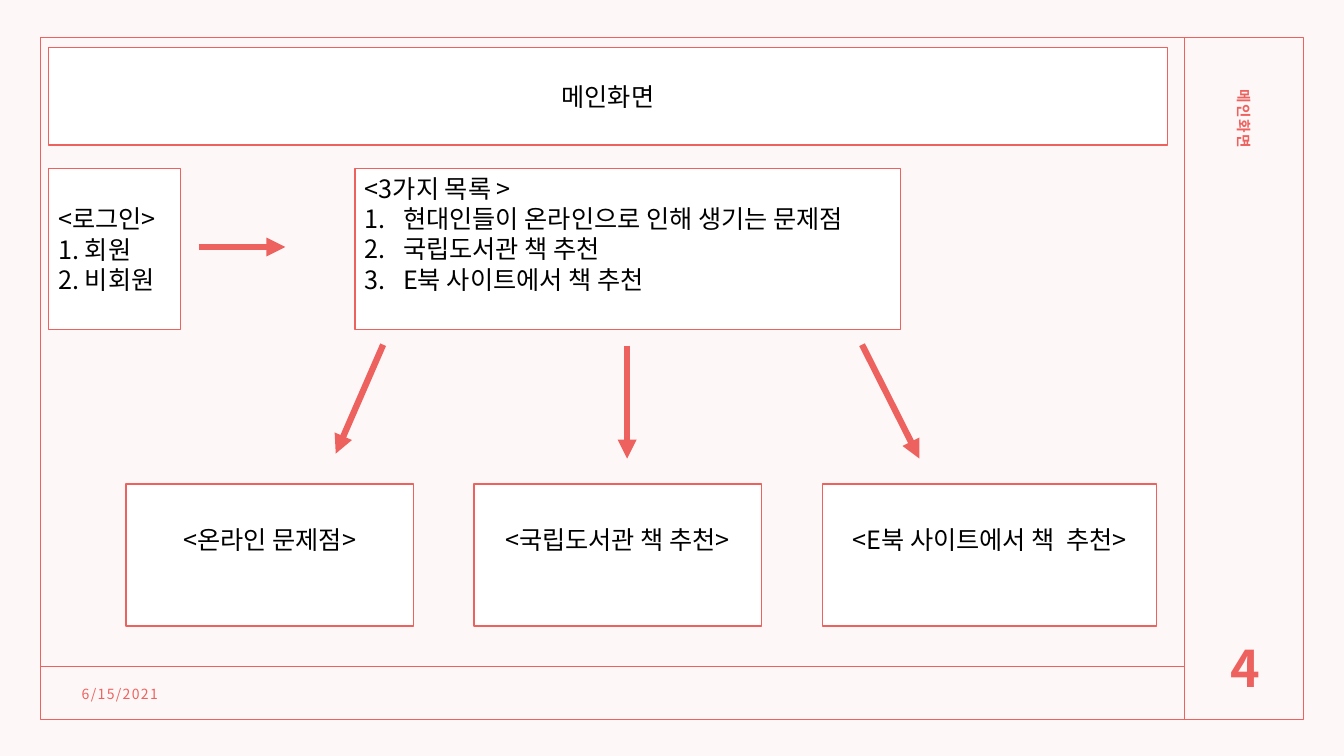
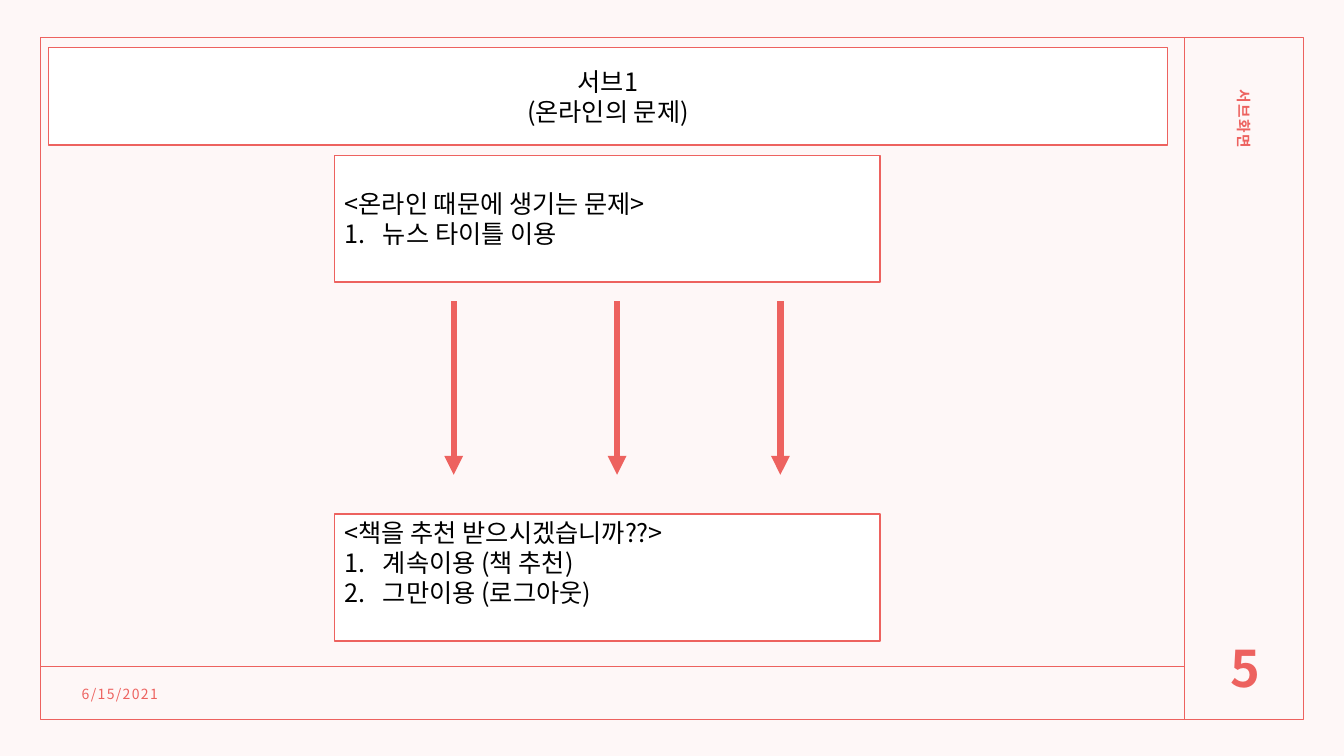
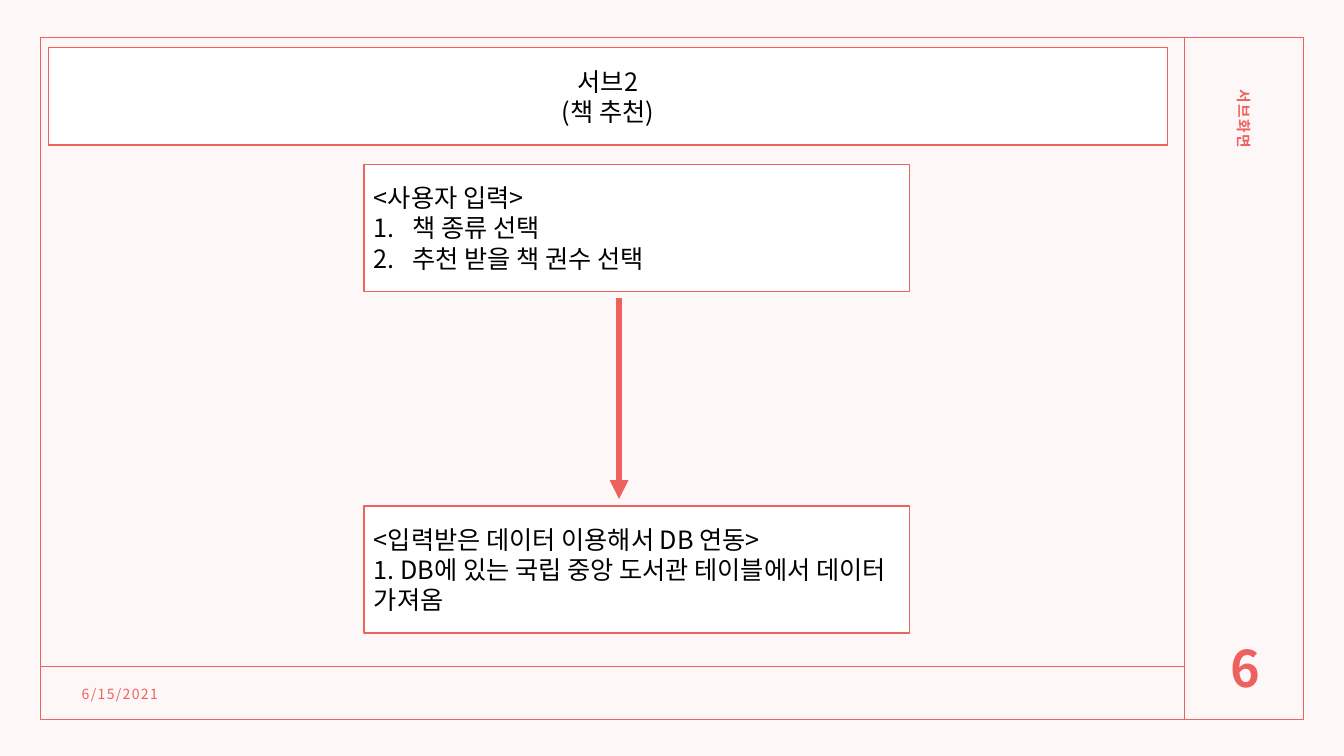
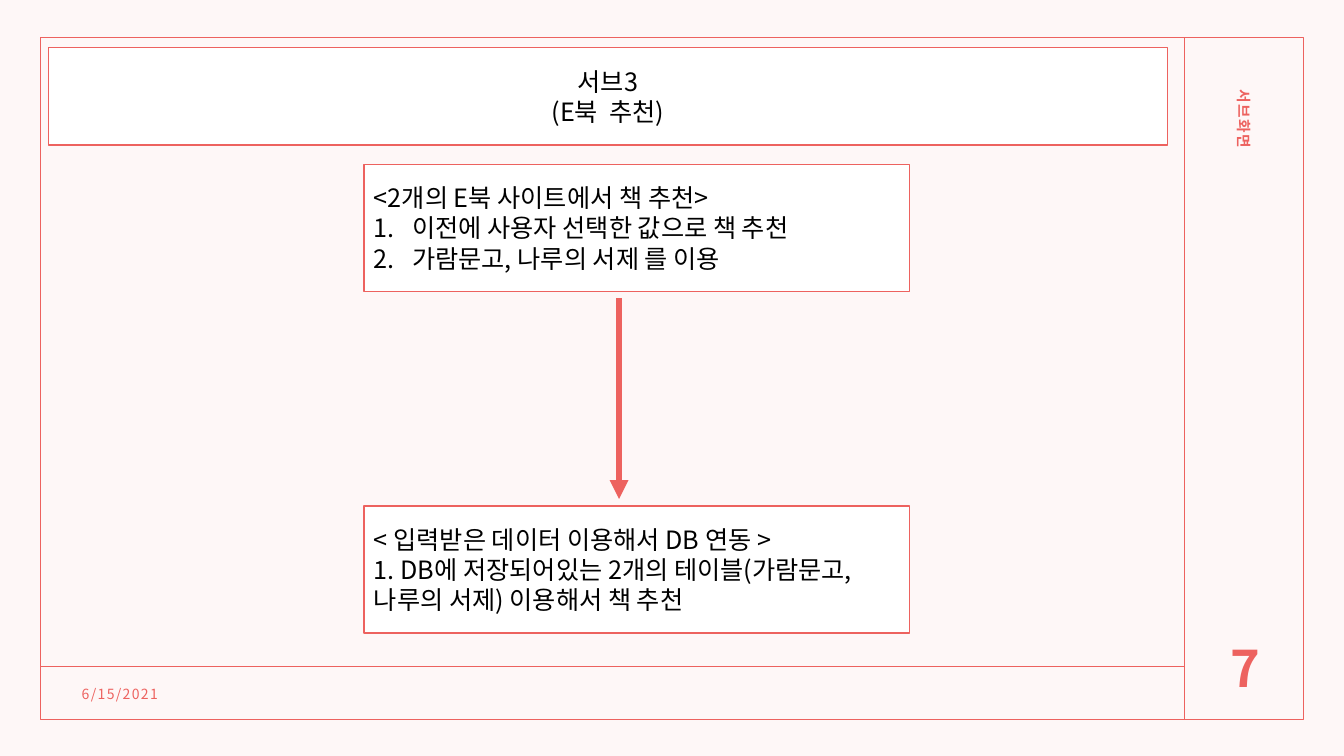
"""Build the four screen-flow slides of a book recommendation program."""
from lxml import etree
from pptx import Presentation
from pptx.dml.color import RGBColor
from pptx.enum.shapes import MSO_CONNECTOR, MSO_SHAPE
from pptx.enum.text import MSO_ANCHOR, PP_ALIGN
from pptx.oxml.ns import qn
from pptx.util import Inches, Pt

RECTANGLE = MSO_SHAPE.RECTANGLE
STRAIGHT = MSO_CONNECTOR.STRAIGHT
MIDDLE = MSO_ANCHOR.MIDDLE
LEFT, CENTER = PP_ALIGN.LEFT, PP_ALIGN.CENTER


def rgb(value):
    return RGBColor.from_string(value)


class Deck:
    FONT = "Noto Sans CJK KR"
    CORAL, BLUSH, WHITE, BLACK = "ED625F", "FEF7F7", "FFFFFF", "000000"
    INDENT = 0.38
    BLANK_LINE = 0.3

    def __init__(self):
        self.deck = Presentation()
        self.deck.slide_width = Inches(13.33)
        self.deck.slide_height = Inches(7.5)
        self.slide = None

    def start(self, number, section, title):
        self.slide = self.deck.slides.add_slide(self.deck.slide_layouts[6])
        background = self.slide.background.fill
        background.solid()
        background.fore_color.rgb = rgb(self.BLUSH)
        self.rectangle((0.4, 0.37, 12.53, 6.77))
        self.line((11.75, 0.37), (11.75, 7.13))
        self.line((0.41, 6.61), (11.75, 6.61))
        self.label((0.69, 6.72, 3.45, 0.31), "6/15/2021", 10, spacing=1)
        self.label((10.1, 2.82, 4.5, 0.4), section, 10.5, bold=True, spacing=1, rotation=90)
        self.label((11.83, 6.2, 1.04, 0.83), str(number), 36, bold=True, align=CENTER)
        self.box((0.48, 0.47, 11.1, 0.97), title, align=CENTER)

    def rectangle(self, at, fill=None):
        shape = self.slide.shapes.add_shape(RECTANGLE, *map(Inches, at))
        shape.shadow.inherit = False
        if fill:
            shape.fill.solid()
            shape.fill.fore_color.rgb = rgb(fill)
        else:
            shape.fill.background()
        shape.line.color.rgb = rgb(self.CORAL)
        shape.line.width = Pt(1)
        return shape

    def line(self, start, end, width=1):
        connector = self.slide.shapes.add_connector(STRAIGHT, *map(Inches, start + end))
        connector.line.color.rgb = rgb(self.CORAL)
        connector.line.width = Pt(width)
        etree.SubElement(connector._element.spPr, qn("a:effectLst"))
        return connector

    def arrow(self, start, end):
        outline = self.line(start, end, 4.5).line._get_or_add_ln()
        etree.SubElement(outline, qn("a:tailEnd"), type="triangle")

    def add_text(self, paragraph, text, size, color, align=LEFT, bold=False, spacing=0):
        paragraph.alignment = align
        run = paragraph.add_run()
        run.text = text
        font = run.font
        font.name, font.size, font.bold = self.FONT, Pt(size), bold
        font.color.rgb = rgb(color)
        properties = run._r.get_or_add_rPr()
        etree.SubElement(properties, qn("a:ea"), typeface=self.FONT)
        if spacing:
            properties.set("spc", str(spacing * 100))

    def label(self, at, text, size, rotation=0, **style):
        holder = self.slide.shapes.add_textbox(*map(Inches, at))
        holder.rotation = rotation
        frame = holder.text_frame
        frame.word_wrap = True
        frame.vertical_anchor = MIDDLE
        frame.margin_left = frame.margin_right = frame.margin_top = Inches(0.12)
        frame.margin_bottom = Inches(0.1)
        self.add_text(frame.paragraphs[0], text, size, self.CORAL, **style)

    def number(self, paragraph):
        properties = paragraph._p.get_or_add_pPr()
        properties.set("marL", str(Inches(self.INDENT)))
        properties.set("indent", str(-Inches(self.INDENT)))
        etree.SubElement(properties, qn("a:buFont"), typeface="+mj-lt")
        etree.SubElement(properties, qn("a:buAutoNum"), type="arabicPeriod")

    def box(self, at, lines, steps=(), align=LEFT, raised=False):
        frame = self.rectangle(at, self.WHITE).text_frame
        frame.word_wrap = True
        frame.vertical_anchor = MIDDLE
        frame.margin_bottom = Inches(0.05 + (self.BLANK_LINE if raised else 0))
        for index, text in enumerate([*lines, *steps]):
            paragraph = frame.add_paragraph() if index else frame.paragraphs[0]
            if index >= len(lines):
                self.number(paragraph)
            self.add_text(paragraph, text, 18, self.BLACK, align)


def main_screen(deck):
    deck.start(4, "메인화면", ["메인화면"])
    deck.box((0.48, 1.67, 1.31, 1.6), ["<로그인>", "1. 회원", "2. 비회원"])
    deck.arrow((1.97, 2.45), (2.83, 2.45))
    deck.box(
        (3.52, 1.67, 5.41, 1.6),
        ["<3가지 목록 >"],
        ["현대인들이 온라인으로 인해 생기는 문제점", "국립도서관 책 추천", "E북 사이트에서 책 추천"],
        raised=True,
    )
    branches = [
        (1.25, 2.85, "<온라인 문제점>", (3.8, 3.42), (3.33, 4.5)),
        (4.7, 2.85, "<국립도서관 책 추천>", (6.22, 3.43), (6.22, 4.55)),
        (8.16, 3.31, "<E북 사이트에서 책  추천>", (8.55, 3.42), (9.12, 4.55)),
    ]
    for left, width, heading, start, end in branches:
        deck.box((left, 4.8, width, 1.41), [heading], align=CENTER, raised=True)
        deck.arrow(start, end)


def online_problem_screen(deck):
    deck.start(5, "서브화면", ["서브1", "(온라인의 문제)"])
    deck.box((3.32, 1.54, 5.41, 1.26), ["<온라인 때문에 생기는 문제>"], ["뉴스 타이틀 이용"])
    deck.box(
        (3.32, 5.1, 5.41, 1.26),
        ["<책을 추천 받으시겠습니까??>"],
        ["계속이용 (책 추천)", "그만이용 (로그아웃)"],
        raised=True,
    )
    for column in range(3):
        x = 4.5 + 1.62 * column
        deck.arrow((x, 2.99), (x, 4.71))


def recommendation_screen(deck, number, title, heading, steps, result):
    deck.start(number, "서브화면", title)
    deck.box((3.61, 1.63, 5.41, 1.26), [heading], steps)
    deck.box((3.61, 5.02, 5.41, 1.26), result)
    deck.arrow((6.14, 2.96), (6.14, 4.95))


def main():
    deck = Deck()
    main_screen(deck)
    online_problem_screen(deck)
    recommendation_screen(
        deck, 6, ["서브2", "(책 추천)"],
        "<사용자 입력>",
        ["책 종류 선택", "추천 받을 책 권수 선택"],
        ["<입력받은 데이터 이용해서 DB 연동>",
         "1. DB에 있는 국립 중앙 도서관 테이블에서 데이터 가져옴"],
    )
    recommendation_screen(
        deck, 7, ["서브3", "(E북  추천)"],
        "<2개의 E북 사이트에서 책 추천>",
        ["이전에 사용자 선택한 값으로 책 추천", "가람문고, 나루의 서제 를 이용"],
        ["< 입력받은 데이터 이용해서 DB 연동 >",
         "1. DB에 저장되어있는 2개의 테이블(가람문고, 나루의 서제) 이용해서 책 추천"],
    )
    deck.deck.save("out.pptx")


if __name__ == "__main__":
    main()
